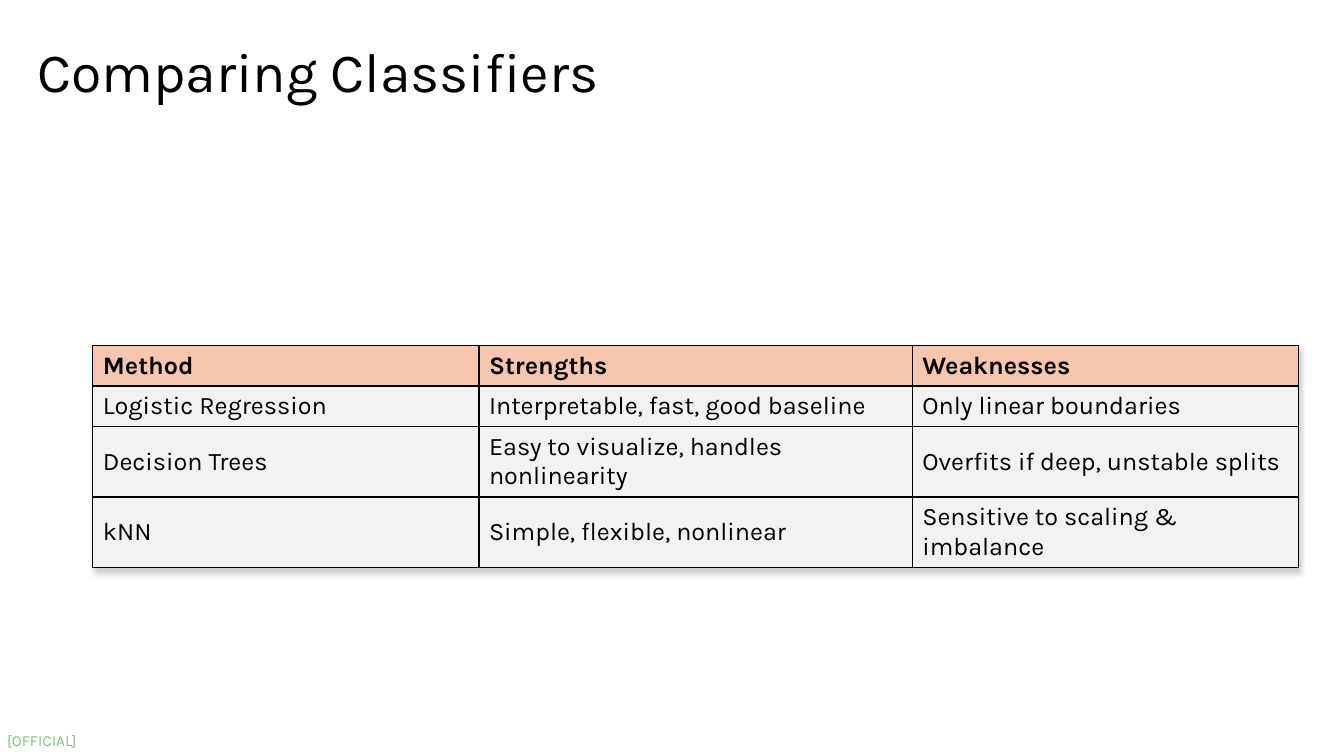
from lxml.etree import SubElement
from pptx import Presentation
from pptx.dml.color import RGBColor
from pptx.enum.text import MSO_ANCHOR, MSO_AUTO_SIZE, PP_ALIGN
from pptx.oxml import parse_xml
from pptx.oxml.ns import nsdecls, qn
from pptx.util import Cm, Pt

COLORS = {
    "text": "000000",
    "label": "008000",
    "header": "F6C6AD",
    "body": "F2F2F2",
    "border": "000000",
}
ROWS = [
    ("Method", "Strengths", "Weaknesses"),
    ("Logistic Regression", "Interpretable, fast, good baseline", "Only linear boundaries"),
    ("Decision Trees", "Easy to visualize, handles nonlinearity", "Overfits if deep, unstable splits"),
    ("kNN", "Simple, flexible, nonlinear", "Sensitive to scaling & imbalance"),
]


def write_text(tf, text, size, font="Karla", color="text", bold=False, spacing=1.0, alpha=None):
    """Write one left-aligned, formatted paragraph into a text frame."""
    p = tf.paragraphs[0]
    p.alignment = PP_ALIGN.LEFT
    p.line_spacing = spacing
    r = p.add_run()
    r.text = text
    r.font.name, r.font.size, r.font.bold = font, Pt(size), bold
    r.font.color.rgb = RGBColor.from_string(COLORS[color])
    if alpha is not None:
        clr = r.font.fill._xPr.find(f".//{qn('a:srgbClr')}")
        SubElement(clr, qn("a:alpha"), val=str(alpha * 1000))


class SlideBuilder:
    """Hold the style and current slide, and add elements to it."""

    def __init__(self, s, font="Karla"):
        """Keep the slide and its font."""
        self.s, self.font = s, font

    def title(self, text, left, top, width, height, size):
        """Place and format the title placeholder."""
        sp = self.s.shapes.title
        sp.left, sp.top, sp.width, sp.height = Cm(left), Cm(top), Cm(width), Cm(height)
        tf = sp.text_frame
        tf.word_wrap, tf.auto_size = True, MSO_AUTO_SIZE.NONE
        tf.vertical_anchor = MSO_ANCHOR.MIDDLE
        write_text(tf, text, size, self.font, spacing=0.9)

    def label(self, text, left, top, width, height, size):
        """Add a translucent label without insets."""
        sp = self.s.shapes.add_textbox(Cm(left), Cm(top), Cm(width), Cm(height))
        tf = sp.text_frame
        tf.margin_left = tf.margin_right = tf.margin_top = tf.margin_bottom = 0
        tf.word_wrap, tf.auto_size = False, MSO_AUTO_SIZE.SHAPE_TO_FIT_TEXT
        write_text(tf, text, size, self.font, color="label", alpha=50)

    def borders(self, cell):
        """Draw a thin line on every side of a cell."""
        for i, side in enumerate(("lnL", "lnR", "lnT", "lnB")):
            cell._tc.get_or_add_tcPr().insert(i, parse_xml(
                f'<a:{side} {nsdecls("a")} w="{Pt(1)}"><a:solidFill>'
                f'<a:srgbClr val="{COLORS["border"]}"/></a:solidFill></a:{side}>'))

    def table(self, rows, left, top, widths, heights, size):
        """Add a bordered table with a coloured header and a soft shadow."""
        tbl = self.s.shapes.add_table(
            len(rows), len(widths), Cm(left), Cm(top), Cm(sum(widths)), Cm(sum(heights))).table
        tbl.horz_banding = False
        tbl._tbl.tblPr.insert(0, parse_xml(
            f'<a:effectLst {nsdecls("a")}><a:outerShdw blurRad="50800" dist="38100" dir="5400000">'
            f'<a:srgbClr val="{COLORS["border"]}"><a:alpha val="20000"/></a:srgbClr>'
            '</a:outerShdw></a:effectLst>'))
        for col, width in zip(tbl.columns, widths):
            col.width = Cm(width)
        for i, (row, height) in enumerate(zip(tbl.rows, heights)):
            row.height = Cm(height)
            for cell, text in zip(row.cells, rows[i]):
                cell.vertical_anchor = MSO_ANCHOR.MIDDLE
                cell.fill.solid()
                cell.fill.fore_color.rgb = RGBColor.from_string(COLORS["body" if i else "header"])
                self.borders(cell)
                write_text(cell.text_frame, text, size, self.font, bold=i == 0)


def main():
    """Build and save the slide."""
    prs = Presentation()
    prs.slide_width, prs.slide_height = Cm(33.87), Cm(19.05)
    b = SlideBuilder(prs.slides.add_slide(prs.slide_layouts[5]))
    b.label("[OFFICIAL]", 0.18, 18.42, 1.88, 0.46, 11)
    b.title("Comparing Classifiers", 0.69, 1.02, 29.21, 1.7, 39.6)
    b.table(ROWS, 2.34, 8.71, (9.73, 10.92, 9.73), (1, 1, 1.76, 1.76), 18)
    prs.save("out.pptx")


if __name__ == "__main__":
    main()
